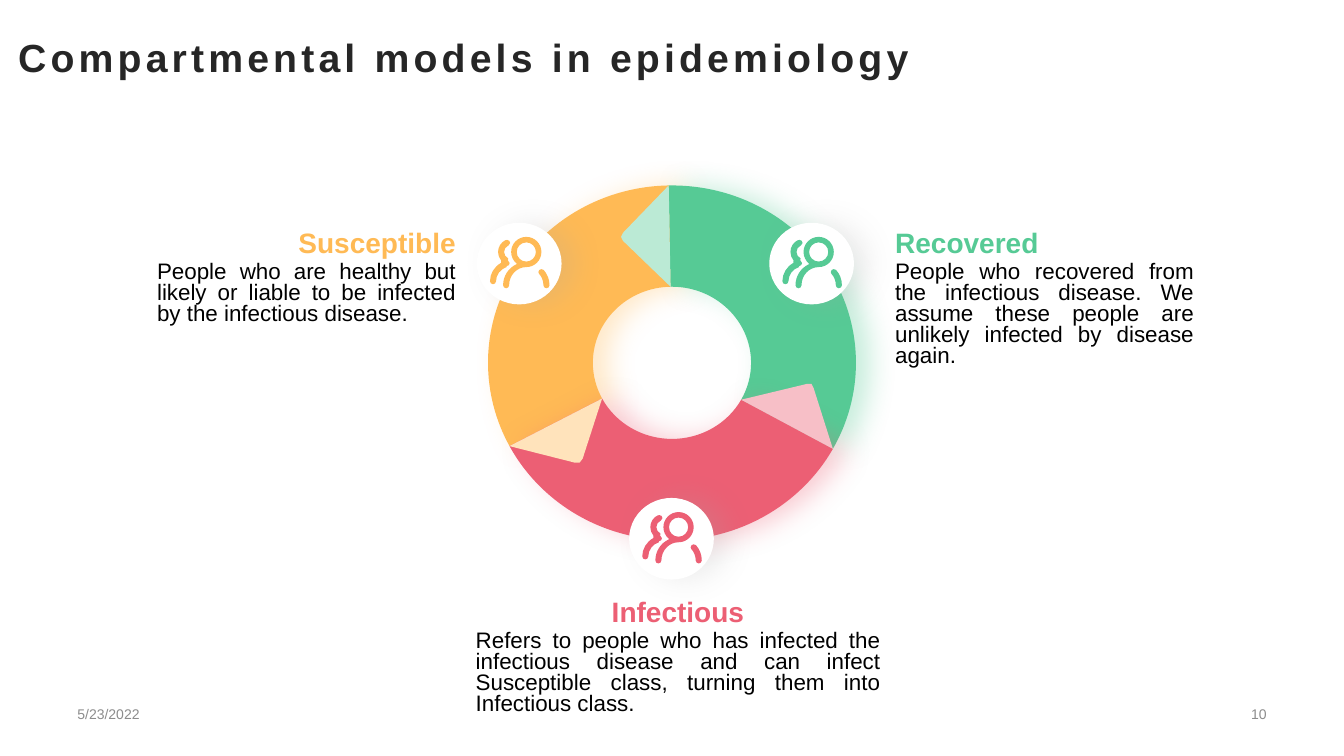
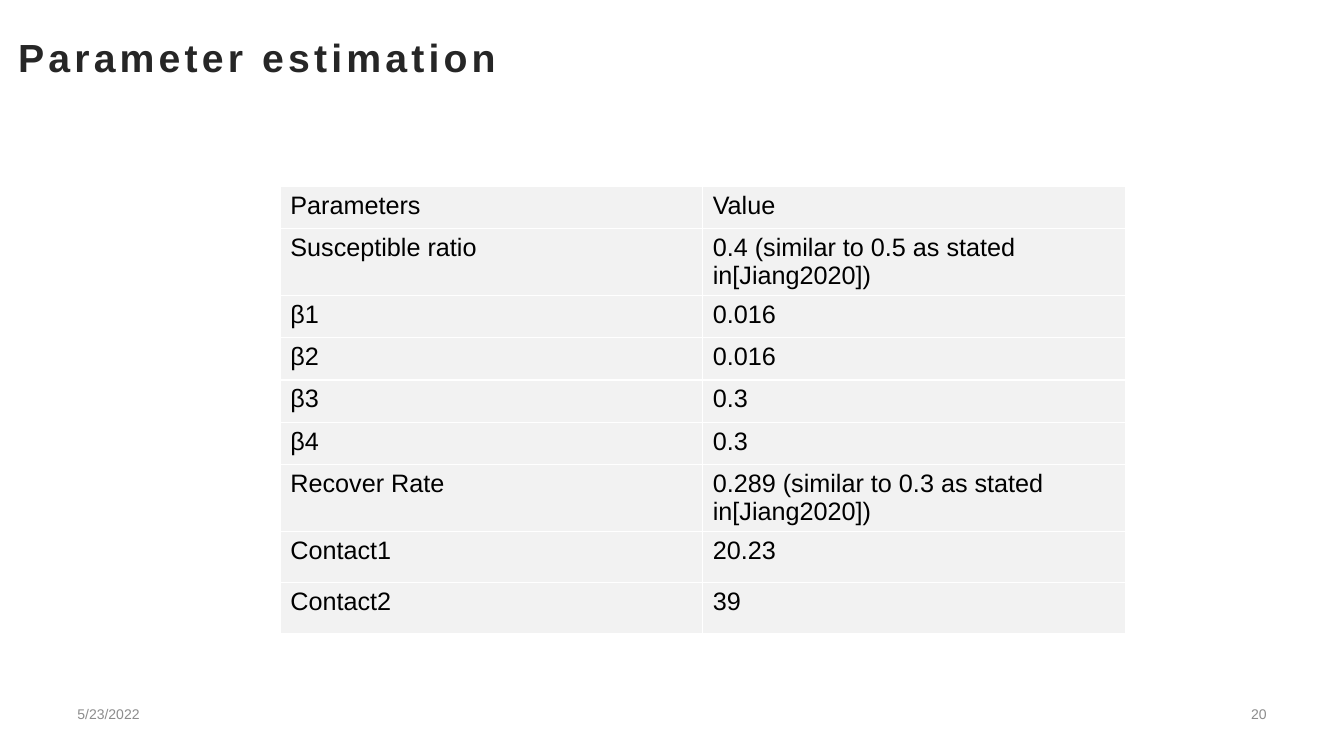
from dataclasses import dataclass
from math import cos, radians, sin, tan

from lxml import etree
from pptx import Presentation, util as u
from pptx.dml.color import RGBColor
from pptx.enum import shapes as es, text as et
from pptx.oxml.ns import qn

PX = 9144  # EMU per px, 100 px to the inch
FONT = "Arial"
HUES = {
    "orange": "FFBA55", "green": "56CA95", "red": "EC5F74",
    "pale orange": "FFE3BB", "pale green": "BBEAD5", "pale red": "F7BFC7",
    "white": "FFFFFF", "shade": "A6A6A6", "black": "000000",
    "title": "262626", "foot": "8C8C8C", "cell": "F2F2F2",
}
LEFT, MID, RIGHT, JUST = (et.PP_ALIGN.LEFT, et.PP_ALIGN.CENTER,
                          et.PP_ALIGN.RIGHT, et.PP_ALIGN.JUSTIFY)
Point = tuple[float, float]
Box = tuple[int, int, int, int]


@dataclass
class Node:
    """Outline point, reached by a curve if it has two control points."""
    at: Point
    bend: tuple[Point, ...] = ()


@dataclass
class Group:
    """One compartment: ring sector, arrow flap, icon disk and text."""
    name: str
    note: str
    hue: str
    start: int
    end: int
    tip: list[Point]
    disk: tuple[int, int]
    head: Box
    body: Box
    align: et.PP_ALIGN


GROUPS = [
    Group("Susceptible",
          "People who are healthy but likely or liable to be infected by the "
          "infectious disease.",
          "orange", 152, 269, [(578, 455), (575, 459), (570, 459)],
          (473, 221), (199, 219, 263, 44), (146, 256, 316, 73), RIGHT),
    Group("Recovered",
          "People who recovered from the infectious disease. We assume these "
          "people are unlikely infected by disease again.",
          "green", 269, 389, [(618, 239), (616, 235), (618, 231)],
          (763, 221), (878, 219, 263, 44), (878, 256, 316, 115), LEFT),
    Group("Infectious",
          "Refers to people who has infected the infectious disease and can "
          "infect Susceptible class, turning them into Infectious class.",
          "red", 29, 152, [(800, 381), (805, 381), (807, 385)],
          (624, 494), (541, 585, 263, 44), (462, 622, 421, 94), MID),
]

# Ring: centre, outer and inner radii
HUB = (666.5, 360)
OUTER = (182.5, 176)
INNER = (78.5, 75.5)

# Icon contours, each a chain of arcs: centre, radii, first and last angle
ICON = [
    # front person
    [((36, 15), (15, 15), 130, 450), ((36, 48), (17, 18), 270, 180),
     ((16, 48), (3, 3), 0, 180), ((36, 48), (23, 23), 180, 245)],
    [((36, 15), (9.5, 9.5), 360, 0)],
    # person behind
    [((21, 15), (7, 7), 115, 245), ((17, 6), (3, 3), 65, -115),
     ((21, 15), (13, 13), 245, 140), ((22, 44), (22, 21), 240, 180),
     ((3, 44), (3, 3), 180, 0), ((22, 44), (16, 15), 180, 250),
     ((16.5, 26), (3, 3), 90, -65)],
    # right arm
    [((36, 48), (23, 23), 318, 360), ((56, 48), (3, 3), 0, 180),
     ((36, 48), (17, 17), 360, 318), ((51, 35), (3, 3), 138, 318)],
]

ROWS = [
    ("Parameters", "Value", 42),
    ("Susceptible ratio", "0.4 (similar to 0.5 as stated in[Jiang2020])", 49),
    ("β1", "0.016", 42),
    ("β2", "0.016", 42),
    ("β3", "0.3", 42),
    ("β4", "0.3", 42),
    ("Recover Rate", "0.289 (similar to 0.3 as stated in[Jiang2020])", 51),
    ("Contact1", "20.23", 51),
    ("Contact2", "39", 51),
]


def px(n: float) -> int:
    return round(n * PX)


def rgb(hue: str) -> RGBColor:
    return RGBColor.from_string(HUES[hue])


def spot(mid: Point, rad: Point, deg: float, lean: float = 0) -> Point:
    """Point on an ellipse, moved along its tangent by the given lean."""
    c, s = cos(radians(deg)), sin(radians(deg))
    return (mid[0] + rad[0] * (c - lean * s), mid[1] + rad[1] * (s + lean * c))


def arc(mid: Point, rad: Point, a: int, b: int) -> list[Node]:
    """Curve from angle a to b, with a node at each quarter turn."""
    low, high = sorted((a, b))
    cuts = [d for d in range(low + 1, high) if d % 90 == 0]
    stops = [low, *cuts, high]
    if a > b:
        stops.reverse()
    nodes = [Node(spot(mid, rad, a))]
    for p, q in zip(stops, stops[1:]):
        k = 4 / 3 * tan(radians(q - p) / 4)
        nodes.append(Node(spot(mid, rad, q),
                          (spot(mid, rad, p, k), spot(mid, rad, q, -k))))
    return nodes


def trace(slide, rings: list[list[Node]]):
    """Freeform of closed contours; bent nodes become cubic curves."""
    pen = None
    for ring in rings:
        first, *rest = [tuple(map(px, n.at)) for n in ring]
        if pen is None:
            pen = slide.shapes.build_freeform(*first, scale=1.0)
        else:
            pen.move_to(*first)
        pen.add_line_segments(rest, close=True)
    shape = pen.convert_to_shape()
    nodes = [n for ring in rings for n in ring[1:]]
    for node, line in zip(nodes, list(shape._element.iter(qn("a:lnTo")))):
        if node.bend:
            line.tag = qn("a:cubicBezTo")
            for i, (x, y) in enumerate(node.bend):
                pt = etree.Element(qn("a:pt"), x=str(px(x) - shape.left),
                                   y=str(px(y) - shape.top))
                line.insert(i, pt)
    return shape


def style(para, size: int, hue: str, bold: bool = False,
          align: et.PP_ALIGN = LEFT) -> None:
    para.alignment = align
    font = para.font
    font.name, font.size, font.bold = FONT, u.Pt(size), bold
    font.color.rgb = rgb(hue)


def write(slide, box: Box, words: str, size: int, hue: str,
          bold: bool = False, align: et.PP_ALIGN = LEFT):
    frame = slide.shapes.add_textbox(*map(px, box)).text_frame
    frame.word_wrap = True
    frame.text = words
    style(frame.paragraphs[0], size, hue, bold, align)
    return frame


def paint(shape, hue: str, glow: str = "", alpha: int = 0) -> None:
    """Flat fill without outline, with an optional soft shadow to the right."""
    shape.fill.solid()
    shape.fill.fore_color.rgb = rgb(hue)
    shape.line.fill.background()
    shape.shadow.inherit = False
    if glow:
        fx = shape._element.spPr.find(qn("a:effectLst"))
        cast = etree.SubElement(fx, qn("a:outerShdw"), blurRad=str(u.Pt(20)),
                                dist=str(u.Pt(10)), dir="0", algn="l",
                                rotWithShape="0")
        tone = etree.SubElement(cast, qn("a:srgbClr"), val=HUES[glow])
        etree.SubElement(tone, qn("a:alpha"), val=str(alpha * 1000))


def icon(slide, x: int, y: int, hue: str) -> None:
    rings = [[node for (cx, cy), rad, a, b in chain
              for node in arc((x + cx, y + cy), rad, a, b)]
             for chain in ICON]
    paint(trace(slide, rings), hue)


def base(deck, head: str, page: int):
    """Slide with the shared title, date and page number."""
    slide = deck.slides.add_slide(deck.slide_layouts[5])
    title = slide.shapes.title
    title.left, title.top, title.width, title.height = map(
        px, (8, 14, 1090, 85))
    frame = title.text_frame
    frame.text = head
    frame.word_wrap = True
    frame.auto_size = et.MSO_AUTO_SIZE.NONE
    frame.vertical_anchor = et.MSO_ANCHOR.MIDDLE
    para = frame.paragraphs[0]
    style(para, 28, "title", True)
    para.runs[0]._r.get_or_add_rPr().set("spc", "300")
    for x, words, align in ((67, "5/23/2022", LEFT), (971, str(page), RIGHT)):
        foot = write(slide, (x, 691, 295, 35), words, 10, "foot", align=align)
        foot.vertical_anchor = et.MSO_ANCHOR.MIDDLE
    return slide


def models(deck) -> None:
    slide = base(deck, "Compartmental models in epidemiology", 10)
    # Ring sectors
    for g in GROUPS:
        ring = (arc(HUB, OUTER, g.start, g.end)
                + arc(HUB, INNER, g.end, g.start))
        paint(trace(slide, [ring]), g.hue, g.hue, 32)
    # Arrow flaps at the start of each sector
    for g in GROUPS:
        ends = [spot(HUB, rad, g.start) for rad in (OUTER, INNER)]
        flap = [Node(at) for at in ends + g.tip]
        paint(trace(slide, [flap]), "pale " + g.hue)
    # Disks, icons and text
    for g in GROUPS:
        x, y = g.disk
        disk = slide.shapes.add_shape(es.MSO_SHAPE.OVAL,
                                      *map(px, (x, y, 84, 81)))
        paint(disk, "white", "shade", 20)
        icon(slide, x + 13, y + 14, g.hue)
        write(slide, g.head, g.name, 20, g.hue, True, g.align)
        note = write(slide, g.body, g.note, 16, "black", align=JUST)
        note.paragraphs[0].line_spacing = u.Pt(15)


def edge(cell) -> None:
    """Thin white borders on all four sides."""
    props = cell._tc.get_or_add_tcPr()
    for side in ("lnL", "lnR", "lnT", "lnB"):
        line = etree.SubElement(props, qn("a:" + side), w=str(u.Pt(1)))
        fill = etree.SubElement(line, qn("a:solidFill"))
        etree.SubElement(fill, qn("a:srgbClr"), val=HUES["white"])


def params(deck) -> None:
    slide = base(deck, "Parameter estimation", 20)
    high = sum(row[2] for row in ROWS)
    grid = slide.shapes.add_table(
        len(ROWS), 2, *map(px, (278, 185, 838, high))).table
    grid.first_row = grid.horz_banding = False
    for r, (name, value, tall) in enumerate(ROWS):
        grid.rows[r].height = px(tall)
        for c, words in enumerate((name, value)):
            cell = grid.cell(r, c)
            cell.text = words
            style(cell.text_frame.paragraphs[0], 18, "black")
            cell.margin_bottom = px(1)
            edge(cell)
            cell.fill.solid()
            cell.fill.fore_color.rgb = rgb("cell")


def main() -> None:
    deck = Presentation()
    deck.slide_width, deck.slide_height = px(1333), px(750)
    models(deck)
    params(deck)
    deck.save("out.pptx")


if __name__ == "__main__":
    main()
